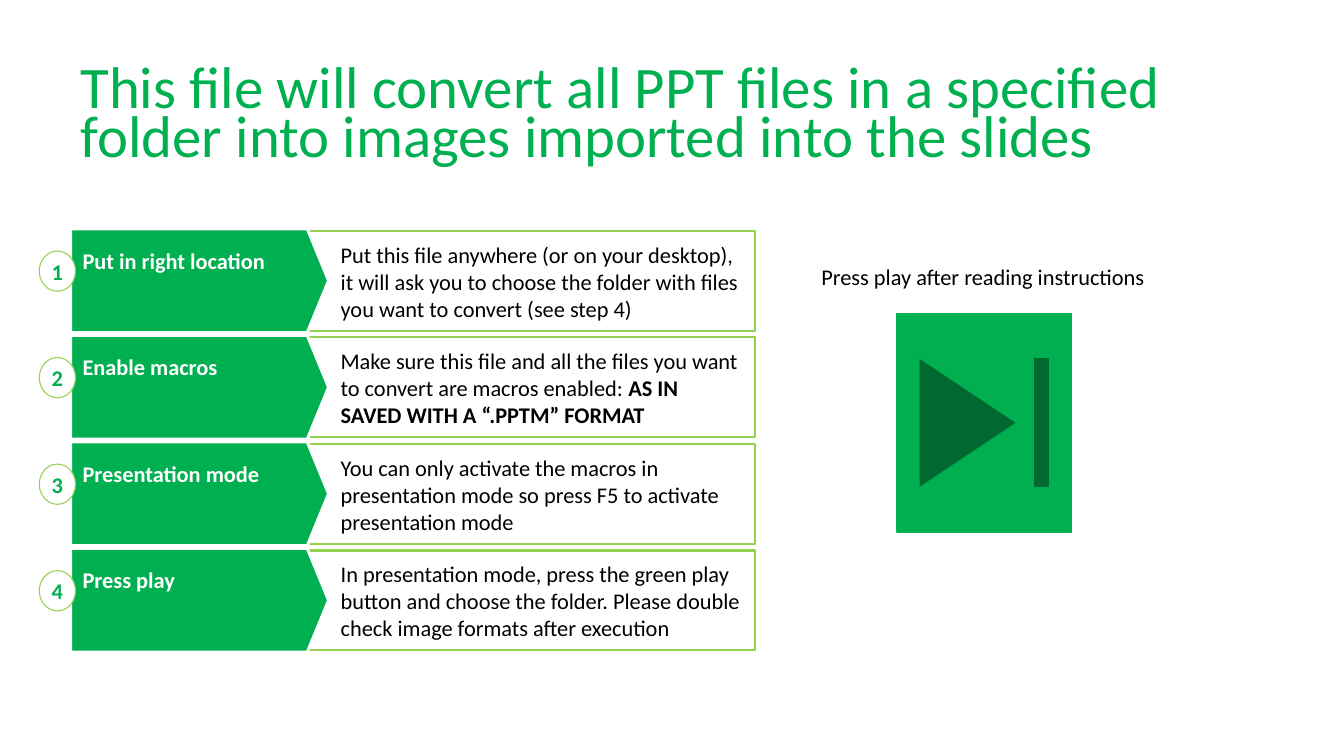
import dataclasses

import pptx
import pptx.dml.color
import pptx.enum.shapes
import pptx.enum.text
import pptx.util

SHAPES = pptx.enum.shapes.MSO_SHAPE
ANCHOR = pptx.enum.text.MSO_ANCHOR
ALIGN = pptx.enum.text.PP_ALIGN
FIT = pptx.enum.text.MSO_AUTO_SIZE

COLUMNS, ROWS = 133.33, 75
FIRST_ROW, STEP_PITCH = 22.7, 10.57
STEPS = [
    ("Put in right location",
     ["Put this file anywhere (or on your desktop), it will ask you to choose "
      "the folder with files you want to convert (see step 4)"]),
    ("Enable macros",
     ["Make sure this file and all the files you want to convert are macros enabled: ",
      "AS IN SAVED WITH A “.PPTM” FORMAT"]),
    ("Presentation mode",
     ["You can only activate the macros in presentation mode so press F5 to "
      "activate presentation mode"]),
    ("Press play",
     ["In presentation mode, press the green play button and choose the folder. "
      "Please double check image formats after execution"]),
]


@dataclasses.dataclass(frozen=True)
class Theme:
    font: str = "Calibri"
    title_size: float = 42
    body_size: float = 16
    green: str = "00B050"
    lime: str = "92D050"
    white: str = "FFFFFF"
    black: str = "000000"


class Canvas:
    """Draw styled elements on a page, measured in grid columns and rows."""

    def __init__(self, deck, theme):
        self.deck = deck
        self.theme = theme
        self.page = deck.slides.add_slide(deck.slide_layouts[6])

    def place(self, left, top, width, height):
        column = self.deck.slide_width / COLUMNS
        row = self.deck.slide_height / ROWS
        return [round(length) for length in
                (left * column, top * row, width * column, height * row)]

    def shape(self, kind, area, fill, line, weight):
        shape = self.page.shapes.add_shape(kind, *self.place(*area))
        shape.shadow.inherit = False
        if fill:
            shape.fill.solid()
            shape.fill.fore_color.rgb = pptx.dml.color.RGBColor.from_string(fill)
        else:
            shape.fill.background()
        shape.line.color.rgb = pptx.dml.color.RGBColor.from_string(line)
        shape.line.width = pptx.util.Pt(weight)
        return shape

    def fill_text(self, frame, spans, color, size=None, bold=False):
        para = frame.paragraphs[0]
        para.font.name = self.theme.font
        para.font.size = pptx.util.Pt(size or self.theme.body_size)
        para.font.color.rgb = pptx.dml.color.RGBColor.from_string(color)
        para.font.bold = bold
        for index, words in enumerate(spans):
            span = para.add_run()
            span.text = words
            if index:
                span.font.bold = True
        return para

    def trim(self, frame):
        frame.margin_left = frame.margin_right = 0
        frame.margin_top = frame.margin_bottom = 0

    def text(self, area, spans, color, size=None, bold=False, anchor=ANCHOR.MIDDLE):
        frame = self.page.shapes.add_textbox(*self.place(*area)).text_frame
        frame.word_wrap = True
        frame.vertical_anchor = anchor
        return frame, self.fill_text(frame, spans, color, size, bold)

    def label(self, area, spans, color, bold=False):
        frame, _ = self.text(area, spans, color, bold=bold, anchor=ANCHOR.TOP)
        self.trim(frame)
        frame.auto_size = FIT.SHAPE_TO_FIT_TEXT

    def title(self, area, words):
        _, para = self.text(area, [words], self.theme.green,
                            self.theme.title_size, anchor=ANCHOR.BOTTOM)
        para.line_spacing = 0.7

    def badge(self, area, number):
        theme = self.theme
        frame = self.shape(SHAPES.OVAL, area, theme.white, theme.lime, 0.75).text_frame
        self.trim(frame)
        frame.word_wrap = False
        frame.vertical_anchor = ANCHOR.MIDDLE
        para = self.fill_text(frame, [str(number)], theme.green, bold=True)
        para.alignment = ALIGN.CENTER

    def step(self, top, heading, spans):
        theme = self.theme
        self.shape(SHAPES.RECTANGLE, (29.8, top + 0.2, 45.1, 9.9), None, theme.lime, 1.5)
        arrow = self.shape(SHAPES.PENTAGON, (7, top, 25.6, 10.3),
                           theme.green, theme.white, 2.25)
        arrow.adjustments[0] = 0.205
        self.label((8.2, top + 1.8, 21.5, 2.7), [heading], theme.white, bold=True)
        self.label((33.8, top + 1.2, 39.9, 8.1), spans, theme.black)


def main():
    deck = pptx.Presentation()
    deck.slide_width = pptx.util.Inches(13.33)
    deck.slide_height = pptx.util.Inches(7.5)
    theme = Theme()
    canvas = Canvas(deck, theme)
    canvas.shape(SHAPES.ACTION_BUTTON_END, (89, 31.1, 17.3, 21.7),
                 theme.green, theme.green, 1)
    canvas.title((7, 5.1, 122.5, 12),
                 "This file will convert all PPT files in a specified folder "
                 "into images imported into the slides")
    tops = [FIRST_ROW + index * STEP_PITCH for index in range(len(STEPS))]
    for top, (heading, spans) in zip(tops, STEPS):
        canvas.step(top, heading, spans)
    for number, top in enumerate(tops, start=1):
        canvas.badge((3.9, top + 2.2, 3.6, 4), number)
    canvas.text((80.5, 24.9, 38.6, 5), ["Press play after reading instructions"], theme.black)
    deck.save("out.pptx")


if __name__ == "__main__":
    main()
